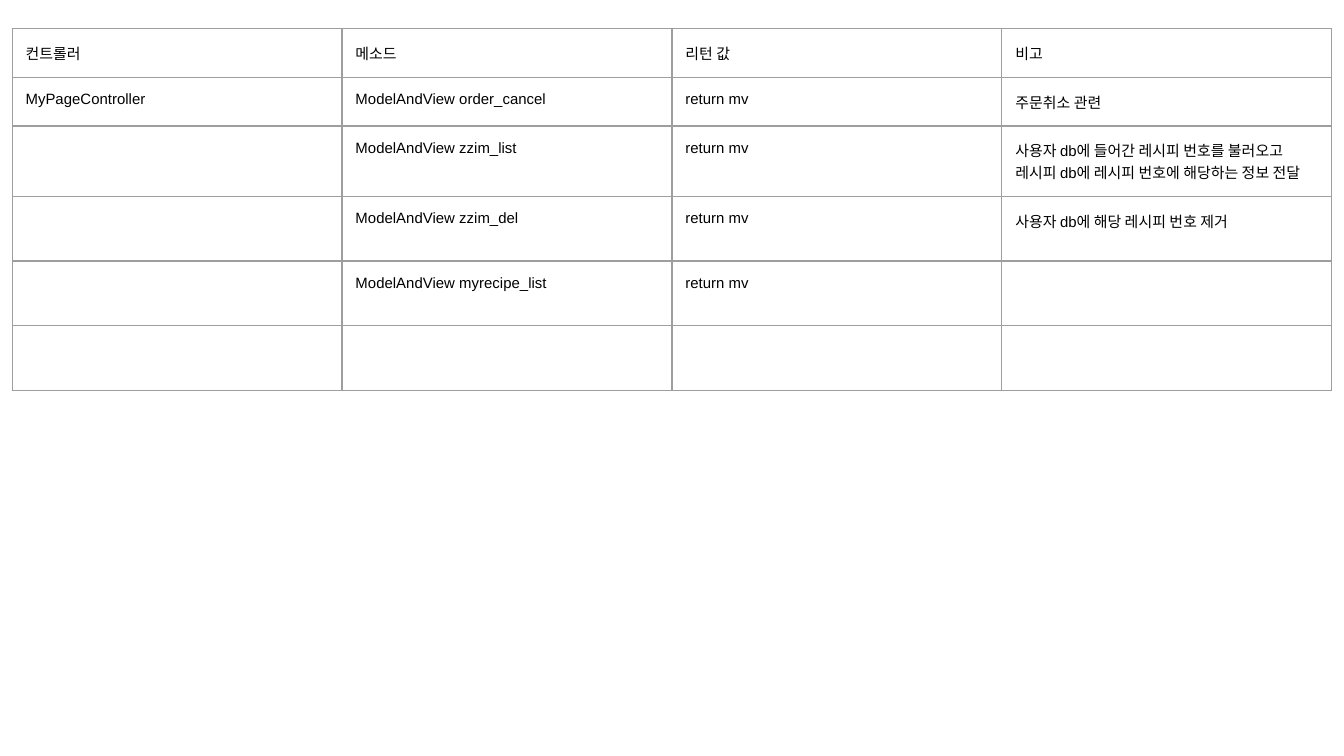
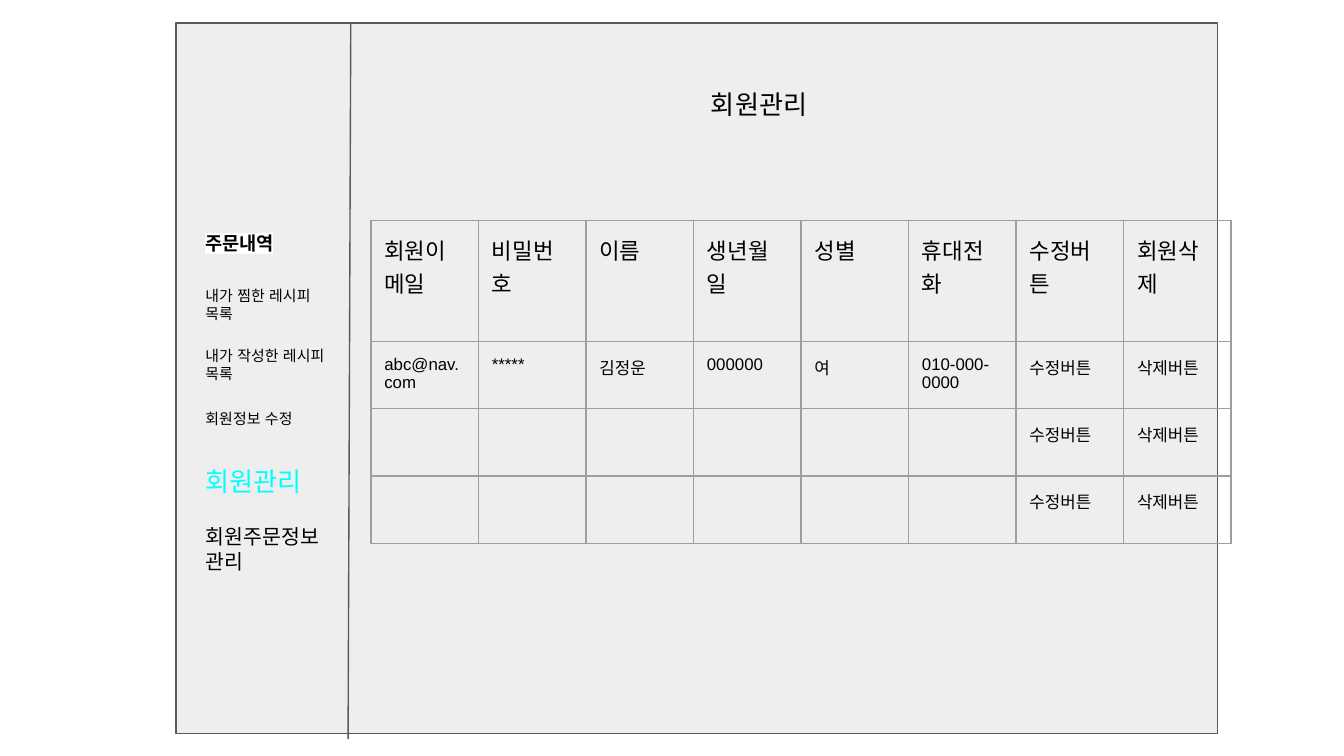
"""Build the controller overview and the member management screen."""
from dataclasses import dataclass

from lxml.etree import SubElement
from pptx import Presentation
from pptx.dml.color import RGBColor
from pptx.enum.shapes import MSO_CONNECTOR, MSO_SHAPE
from pptx.enum.text import MSO_ANCHOR, MSO_AUTO_SIZE, PP_ALIGN
from pptx.oxml import parse_xml
from pptx.oxml.ns import nsdecls, qn
from pptx.util import Emu, Pt

PX = 4572
FONT = "Arial"
BLACK, WHITE, PANEL = "000000", "FFFFFF", "EEEEEE"
LINE, GRID, ACTIVE = "595959", "9E9E9E", "00FFFF"
LINE_PT = 0.75
INSET = 20
TITLE_PT, EMPTY_PT = 14, 18
TITLE_ONLY, BLANK = 5, 6


@dataclass(frozen=True)
class MenuItem:
    text: str
    y: int
    h: int
    size: int
    color: str = BLACK
    w: int = 236
    bold: bool = False
    highlight: str = ""


@dataclass(frozen=True)
class Grid:
    x: int
    y: int
    col_w: int
    row_heights: list[int]
    rows: list[list[str]]
    head_size: int
    body_size: int


MENU_X = 286
MENU = [
    MenuItem("회원정보 수정", 596, 68, 8, w=218, highlight=PANEL),
    MenuItem("주문내역", 328, 74, 10, bold=True, highlight=WHITE),
    MenuItem("내가 찜한 레시피 목록", 406, 94, 8),
    MenuItem("내가 작성한 레시피 목록", 496, 94, 8),
    MenuItem("회원관리", 672, 88, TITLE_PT, ACTIVE),
    MenuItem("회원주문정보관리", 760, 114, 11),
]

CONTROLLERS = Grid(18, 42, 491, [73, 72, 105, 96, 96, 96], [
    ["컨트롤러", "메소드", "리턴 값", "비고"],
    ["MyPageController", "ModelAndView order_cancel", "return mv", "주문취소 관련"],
    ["", "ModelAndView zzim_list", "return mv",
     "사용자 db에 들어간 레시피 번호를 불러오고\n레시피 db에 레시피 번호에 해당하는 정보 전달"],
    ["", "ModelAndView zzim_del", "return mv", "사용자 db에 해당 레시피 번호 제거"],
    ["", "ModelAndView myrecipe_list", "return mv", ""],
    [""] * 4,
], 8, 8)

BUTTONS = ["수정버튼", "삭제버튼"]
MEMBERS = Grid(552, 328, 160, [180, 100, 100, 100], [
    ["회원이메일", "비밀번호", "이름", "생년월일", "성별", "휴대전화", "수정버튼", "회원삭제"],
    ["abc@nav.com", "*****", "김정운", "000000", "여", "010-000-0000", *BUTTONS],
    *[[""] * 6 + BUTTONS] * 2,
], 12, 9)


def px(n: int) -> Emu:
    """Turn px into EMU."""
    return Emu(n * PX)


def rgb(value: str) -> RGBColor:
    """Turn a hex string into a colour."""
    return RGBColor.from_string(value)


def add_run(p, text: str, size: int, color: str = BLACK, bold: bool = False):
    """Add a formatted run to a paragraph."""
    r = p.add_run()
    r.text = text
    r.font.size = Pt(size)
    r.font.bold = bold
    r.font.color.rgb = rgb(color)
    r.font.name = FONT
    return r


def set_insets(target) -> None:
    """Give a cell or text frame equal insets."""
    target.margin_left = target.margin_right = px(INSET)
    target.margin_top = target.margin_bottom = px(INSET)


def fill_box(sp, text: str, size: int, color: str = BLACK,
             bold: bool = False, highlight: str = "") -> None:
    """Write one left-aligned label into a text shape."""
    tf = sp.text_frame
    tf.word_wrap = True
    tf.auto_size = MSO_AUTO_SIZE.SHAPE_TO_FIT_TEXT
    tf.vertical_anchor = MSO_ANCHOR.TOP
    set_insets(tf)
    p = tf.paragraphs[0]
    p.alignment = PP_ALIGN.LEFT
    r = add_run(p, text, size, color, bold)
    rPr = r._r.get_or_add_rPr()
    rPr.find(qn("a:latin")).addnext(
        parse_xml(f'<a:ea {nsdecls("a")} typeface="{FONT}"/>'))
    if highlight:
        rPr.find(qn("a:solidFill")).addnext(parse_xml(
            f'<a:highlight {nsdecls("a")}><a:srgbClr val="{highlight}"/></a:highlight>'))


def border_cell(cell) -> None:
    """Draw the grid line on all four sides of a cell."""
    tcPr = cell._tc.get_or_add_tcPr()
    for side in ("a:lnL", "a:lnR", "a:lnT", "a:lnB"):
        ln = SubElement(tcPr, qn(side), w=str(Pt(LINE_PT)))
        fill = SubElement(ln, qn("a:solidFill"))
        SubElement(fill, qn("a:srgbClr"), val=GRID)


def fill_cell(cell, text: str, size: int) -> None:
    """Write the lines of a cell, or size its empty paragraph."""
    tf = cell.text_frame
    if not text:
        end = SubElement(tf.paragraphs[0]._p, qn("a:endParaRPr"), sz=str(EMPTY_PT * 100))
        SubElement(end, qn("a:latin"), typeface=FONT)
        return
    for i, line in enumerate(text.split("\n")):
        p = tf.add_paragraph() if i else tf.paragraphs[0]
        add_run(p, line, size)


def add_grid(s, grid: Grid) -> None:
    """Add a bordered table without fill."""
    n_rows, n_cols = len(grid.rows), len(grid.rows[0])
    table = s.shapes.add_table(
        n_rows, n_cols, px(grid.x), px(grid.y),
        px(grid.col_w * n_cols), px(sum(grid.row_heights))).table
    table.first_row = table.horz_banding = False
    for column in table.columns:
        column.width = px(grid.col_w)
    for i, texts in enumerate(grid.rows):
        table.rows[i].height = px(grid.row_heights[i])
        size = grid.body_size if i else grid.head_size
        for j, text in enumerate(texts):
            cell = table.cell(i, j)
            set_insets(cell)
            border_cell(cell)
            cell.fill.background()
            fill_cell(cell, text, size)


def add_panel(s):
    """Add the screen panel with its sidebar divider."""
    sp = s.shapes.add_shape(MSO_SHAPE.RECTANGLE, px(262), px(34), px(1550), px(1058))
    sp.shadow.inherit = False
    sp.fill.solid()
    sp.fill.fore_color.rgb = rgb(PANEL)
    divider = s.shapes.add_connector(
        MSO_CONNECTOR.STRAIGHT, px(522), px(34), px(518), px(1100))
    SubElement(divider._element.spPr, qn("a:effectLst"))
    for item in (sp, divider):
        item.line.color.rgb = rgb(LINE)
        item.line.width = Pt(LINE_PT)
    return sp


def build_controllers(prs) -> None:
    """Build the controller overview."""
    s = prs.slides.add_slide(prs.slide_layouts[BLANK])
    add_grid(s, CONTROLLERS)


def build_members(prs) -> None:
    """Build the member management screen."""
    s = prs.slides.add_slide(prs.slide_layouts[TITLE_ONLY])
    title = s.shapes.title
    panel = add_panel(s)
    panel._element.addnext(title._element)
    title.left, title.top, title.width, title.height = map(px, (1038, 112, 252, 88))
    fill_box(title, "회원관리", TITLE_PT)
    for item in MENU:
        sp = s.shapes.add_textbox(px(MENU_X), px(item.y), px(item.w), px(item.h))
        fill_box(sp, item.text, item.size, item.color, item.bold, item.highlight)
    add_grid(s, MEMBERS)


def main() -> None:
    """Build and save the presentation."""
    prs = Presentation()
    prs.slide_width, prs.slide_height = px(2000), px(1125)
    build_controllers(prs)
    build_members(prs)
    prs.save("out.pptx")


if __name__ == "__main__":
    main()
